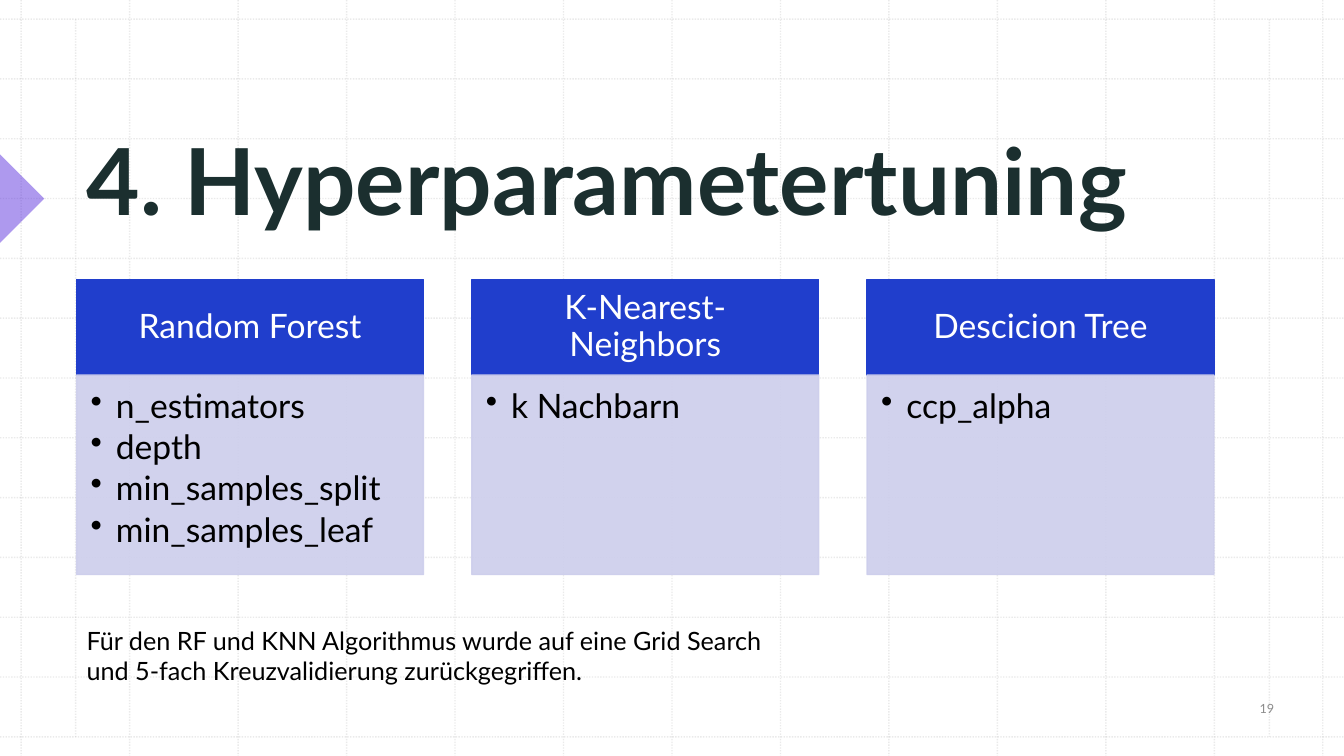
from dataclasses import dataclass

from pptx import Presentation
from pptx.dml.color import RGBColor as RGB
from pptx.enum.dml import MSO_LINE
from pptx.enum.shapes import MSO_CONNECTOR, MSO_SHAPE
from pptx.enum.text import MSO_ANCHOR as Anchor, PP_ALIGN as Align
from pptx.oxml.ns import qn
from pptx.shapes.autoshape import Shape
from pptx.shapes.base import BaseShape
from pptx.slide import Slide
from pptx.text.text import TextFrame, _Paragraph as Paragraph
from pptx.util import Inches, Pt
from lxml.etree import SubElement


@dataclass(frozen=True)
class Theme:
    font: str = "Lato"
    grid: RGB = RGB(0xBC, 0xBC, 0xBC)
    accent: RGB = RGB(0x5E, 0x34, 0xDE)
    title: RGB = RGB(0x1B, 0x2F, 0x2F)
    page: RGB = RGB(0x8C, 0x8C, 0x8C)
    header: RGB = RGB(0x20, 0x3E, 0xCC)
    header_text: RGB = RGB(0xFF, 0xFF, 0xFF)
    panel: RGB = RGB(0xCD, 0xCE, 0xEC)
    body: RGB = RGB(0, 0, 0)
    title_size: int = 66
    model_size: int = 24
    note_size: int = 18
    page_size: int = 9


@dataclass(frozen=True)
class Box:
    left: float
    top: float
    width: float
    height: float

    def lengths(self) -> list[int]:
        return [Inches(v) for v in (self.left, self.top, self.width, self.height)]


@dataclass(frozen=True)
class Model:
    name: str
    parameters: tuple[str, ...]


THEME = Theme()
SLIDE_WIDTH, SLIDE_HEIGHT = 13.33, 7.5
MARGIN_LEFT, MARGIN_RIGHT = 0.75, 12.59
GRID_LEFT, GRID_RIGHT = 0.21, 13.12
GRID_TOP, GRID_BOTTOM = 0.19, 7.31
GRID_CELLS = 12

MODELS = (
    Model("Random Forest",
          ("n_estimators", "depth", "min_samples_split", "min_samples_leaf")),
    Model("K-Nearest-Neighbors", ("k Nachbarn",)),
    Model("Descicion Tree", ("ccp_alpha",)),
)
CARD_LEFT, CARD_TOP, CARD_WIDTH, CARD_PITCH = 0.76, 2.77, 3.44, 3.92
HEADER_HEIGHT, PANEL_HEIGHT = 0.95, 1.98


def set_opacity(shape: BaseShape, percent: int) -> None:
    for color in shape.element.spPr.iter(qn("a:srgbClr")):
        SubElement(color, qn("a:alpha"), val=str(percent * 1000))


def style(paragraph: Paragraph, size: int, color: RGB, bold: bool = False) -> None:
    font = paragraph.font
    font.name, font.size, font.bold = THEME.font, Pt(size), bold
    font.color.rgb = color


def set_insets(frame: TextFrame, left: float, top: float,
               right: float, bottom: float) -> None:
    frame.margin_left, frame.margin_top = Inches(left), Inches(top)
    frame.margin_right, frame.margin_bottom = Inches(right), Inches(bottom)


def add_bullet(paragraph: Paragraph) -> None:
    properties = paragraph._p.get_or_add_pPr()
    properties.set("marL", str(Inches(0.25)))
    properties.set("indent", str(Inches(-0.25)))
    SubElement(properties, qn("a:buChar"), char="•")


def add_grid_line(slide: Slide, x1: float, y1: float, x2: float, y2: float) -> None:
    rule = slide.shapes.add_connector(
        MSO_CONNECTOR.STRAIGHT, Inches(x1), Inches(y1), Inches(x2), Inches(y2))
    rule.line.color.rgb = THEME.grid
    rule.line.width = Pt(1)
    rule.line.dash_style = MSO_LINE.ROUND_DOT
    set_opacity(rule, 30)
    SubElement(rule.element.spPr, qn("a:effectLst"))


def add_grid(slide: Slide) -> None:
    column = (GRID_RIGHT - GRID_LEFT) / GRID_CELLS
    row = (GRID_BOTTOM - GRID_TOP) / GRID_CELLS
    for i in range(GRID_CELLS + 1):
        x, y = GRID_LEFT + i * column, GRID_TOP + i * row
        add_grid_line(slide, x, 0, x, SLIDE_HEIGHT)
        add_grid_line(slide, 0, y, SLIDE_WIDTH, y)
    for x in (MARGIN_LEFT, MARGIN_RIGHT):
        add_grid_line(slide, x, GRID_TOP, x, GRID_BOTTOM)


def add_title_marker(slide: Slide) -> None:
    marker = slide.shapes.add_shape(
        MSO_SHAPE.RIGHT_TRIANGLE, *Box(-0.31, 1.66, 0.62, 0.62).lengths())
    marker.rotation = 225
    marker.shadow.inherit = False
    marker.fill.solid()
    marker.fill.fore_color.rgb = THEME.accent
    marker.line.fill.background()
    set_opacity(marker, 50)


def add_text(slide: Slide, box: Box, text: str, size: int, color: RGB,
             bold: bool = False, anchor: Anchor = Anchor.TOP,
             align: Align = Align.LEFT) -> None:
    frame = slide.shapes.add_textbox(*box.lengths()).text_frame
    frame.word_wrap = True
    frame.vertical_anchor = anchor
    paragraph = frame.paragraphs[0]
    paragraph.text = text
    paragraph.alignment = align
    style(paragraph, size, color, bold)


def add_block(slide: Slide, box: Box, color: RGB) -> Shape:
    block = slide.shapes.add_shape(MSO_SHAPE.RECTANGLE, *box.lengths())
    block.shadow.inherit = False
    block.fill.solid()
    block.fill.fore_color.rgb = color
    block.line.color.rgb = color
    block.line.width = Pt(1)
    return block


def add_model_card(slide: Slide, left: float, model: Model) -> None:
    header = add_block(
        slide, Box(left, CARD_TOP, CARD_WIDTH, HEADER_HEIGHT), THEME.header)
    set_insets(header.text_frame, 0.19, 0.11, 0.19, 0.11)
    header.text_frame.vertical_anchor = Anchor.MIDDLE
    name = header.text_frame.paragraphs[0]
    name.text = model.name
    name.alignment = Align.CENTER
    name.line_spacing = 0.9
    style(name, THEME.model_size, THEME.header_text)

    panel = add_block(
        slide, Box(left, CARD_TOP + HEADER_HEIGHT, CARD_WIDTH, PANEL_HEIGHT),
        THEME.panel)
    set_opacity(panel, 90)
    set_insets(panel.text_frame, 0.14, 0.14, 0.19, 0.21)
    panel.text_frame.vertical_anchor = Anchor.TOP
    panel.text_frame.text = "\n".join(model.parameters)
    for parameter in panel.text_frame.paragraphs:
        add_bullet(parameter)
        parameter.alignment = Align.LEFT
        parameter.line_spacing = 0.9
        parameter.space_after = Pt(3.6)
        style(parameter, THEME.model_size, THEME.body)


def main() -> None:
    deck = Presentation()
    deck.slide_width, deck.slide_height = Inches(SLIDE_WIDTH), Inches(SLIDE_HEIGHT)
    slide = deck.slides.add_slide(deck.slide_layouts[6])

    add_grid(slide)
    add_title_marker(slide)
    add_text(slide, Box(0.76, 0.79, 11.29, 1.58), "4. Hyperparametertuning",
             THEME.title_size, THEME.title, bold=True, anchor=Anchor.BOTTOM)
    add_text(slide, Box(12.03, 6.8, 1.07, 0.46), "19", THEME.page_size, THEME.page,
             anchor=Anchor.MIDDLE, align=Align.CENTER)
    for i, model in enumerate(MODELS):
        add_model_card(slide, CARD_LEFT + i * CARD_PITCH, model)
    add_text(slide, Box(0.76, 6.15, 7.32, 0.71),
             "Für den RF und KNN Algorithmus wurde auf eine Grid Search "
             "und 5-fach Kreuzvalidierung zurückgegriffen.",
             THEME.note_size, THEME.body)
    deck.save("out.pptx")


if __name__ == "__main__":
    main()
